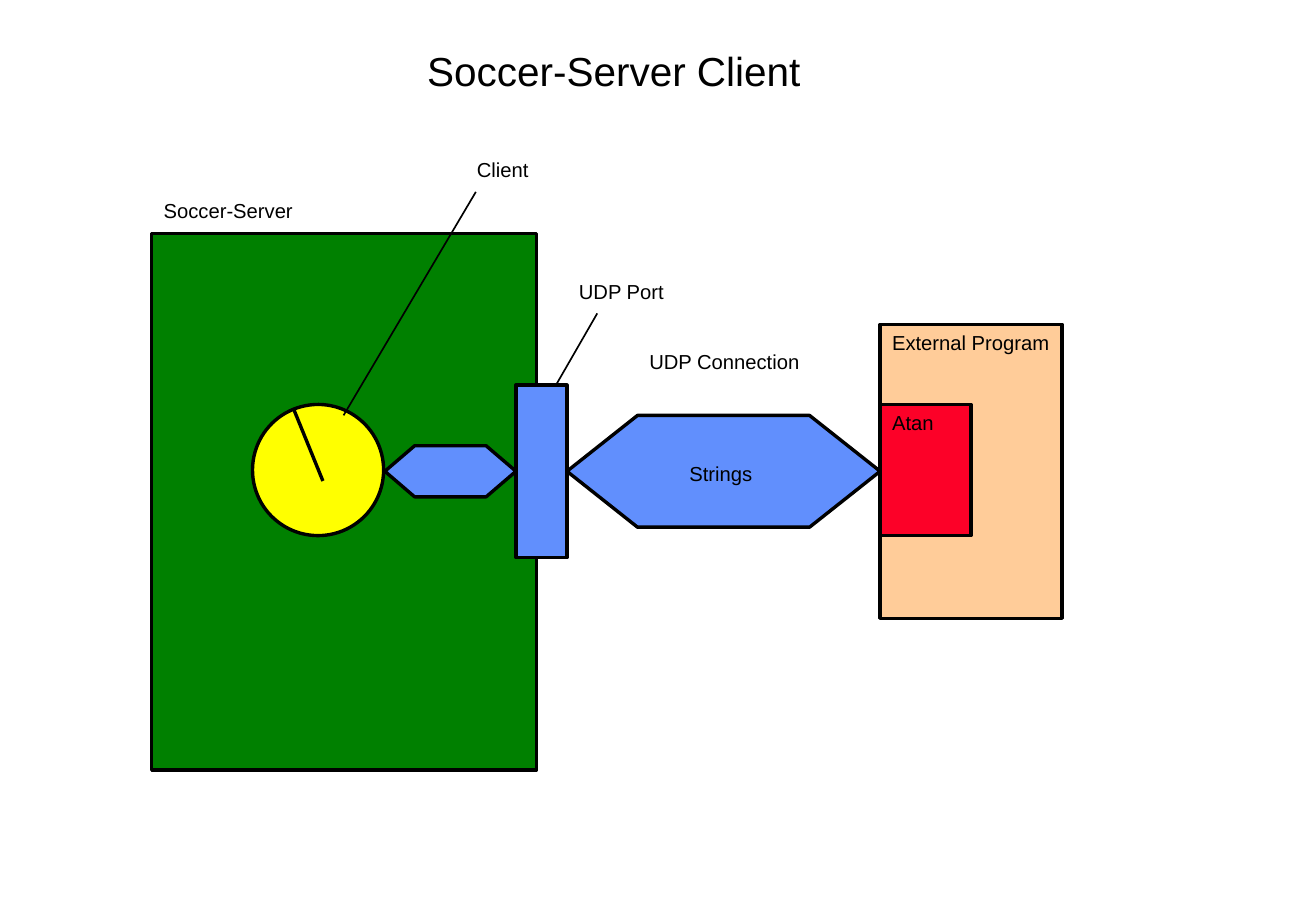
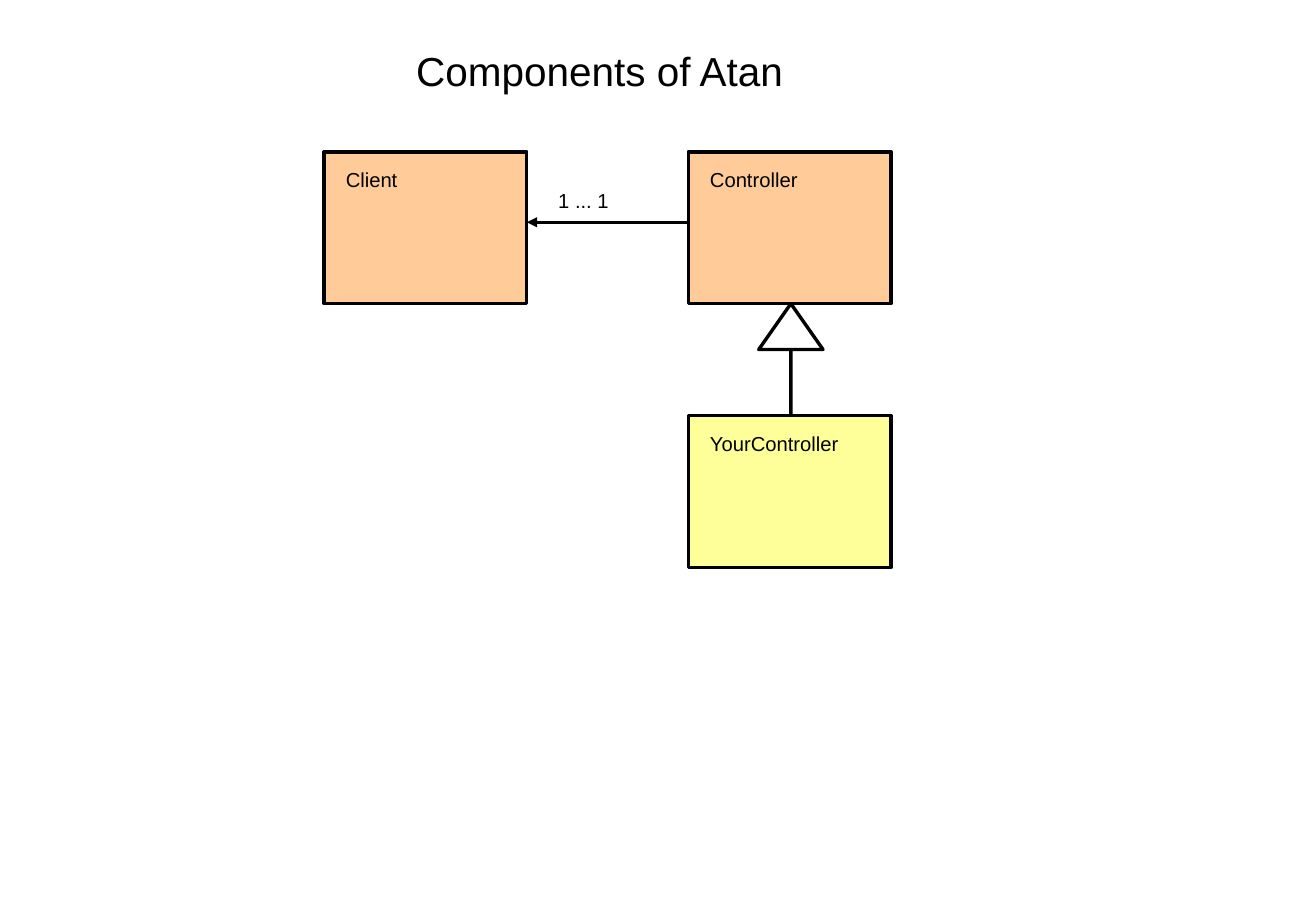
from dataclasses import dataclass

from lxml.etree import SubElement
from pptx import Presentation
from pptx.dml.color import RGBColor
from pptx.enum.shapes import MSO_CONNECTOR, MSO_SHAPE
from pptx.enum.text import MSO_AUTO_SIZE
from pptx.oxml.ns import qn
from pptx.slide import Slide
from pptx.util import Inches, Pt

COLORS = {
    "ink": "000000",
    "field": "008000",
    "player": "FFFF00",
    "port": "618FFD",
    "program": "FFCC99",
    "library": "FC0128",
    "custom": "FFFF99",
}
FONT = "Arial"
TITLE_SIZE, LABEL_SIZE = 24, 12
BOX_W, BOX_H = 1.67, 1.25  # class boxes
BOX_INSET = 0.08           # class name inside its box


@dataclass(frozen=True)
class Block:
    kind: MSO_SHAPE
    x: float
    y: float
    w: float
    h: float
    fill: str | None = None
    adjustments: tuple[float, ...] = ()
    rotation: float = 0


@dataclass(frozen=True)
class Line:
    x1: float
    y1: float
    x2: float
    y2: float
    width: float = 2
    arrow: bool = False


@dataclass(frozen=True)
class Label:
    text: str
    x: float
    y: float
    w: float = 1.83


@dataclass(frozen=True)
class ClassBox:
    name: str
    x: float
    y: float
    fill: str


def rgb(name: str) -> RGBColor:
    return RGBColor.from_string(COLORS[name])


def add_block(s: Slide, block: Block) -> None:
    sp = s.shapes.add_shape(block.kind, *map(Inches, (block.x, block.y, block.w, block.h)))
    sp.shadow.inherit = False
    sp.rotation = block.rotation
    for i, value in enumerate(block.adjustments):
        sp.adjustments[i] = value
    if block.fill:
        sp.fill.solid()
        sp.fill.fore_color.rgb = rgb(block.fill)
    else:
        sp.fill.background()
    sp.line.color.rgb = rgb("ink")
    sp.line.width = Pt(2)


def add_line(s: Slide, line: Line) -> None:
    ends = map(Inches, (line.x1, line.y1, line.x2, line.y2))
    cxn = s.shapes.add_connector(MSO_CONNECTOR.STRAIGHT, *ends)
    cxn.line.color.rgb = rgb("ink")
    cxn.line.width = Pt(line.width)
    if line.arrow:
        SubElement(cxn.line._get_or_add_ln(), qn("a:tailEnd"), type="triangle")
    SubElement(cxn._element.spPr, qn("a:effectLst"))


def add_label(s: Slide, label: Label, size: float = LABEL_SIZE) -> None:
    # Box height and space before both follow the text size
    height = 0.5 if size == TITLE_SIZE else 0.3
    tf = s.shapes.add_textbox(*map(Inches, (label.x, label.y, label.w, height))).text_frame
    tf.word_wrap = True
    tf.auto_size = MSO_AUTO_SIZE.SHAPE_TO_FIT_TEXT
    p = tf.paragraphs[0]
    p.space_before = Pt(size * 0.625)
    r = p.add_run()
    r.text = label.text
    for name, value in {"name": FONT, "size": Pt(size)}.items():
        setattr(r.font, name, value)
    r.font.color.rgb = rgb("ink")


def add_class_box(s: Slide, box: ClassBox) -> None:
    add_block(s, Block(MSO_SHAPE.RECTANGLE, box.x, box.y, BOX_W, BOX_H, box.fill))
    add_label(s, Label(box.name, box.x + BOX_INSET, box.y + BOX_INSET))


def add_slide(prs: Presentation, title: Label) -> Slide:
    s = prs.slides.add_slide(prs.slide_layouts[6])
    add_label(s, title, TITLE_SIZE)
    return s


def build_client_slide(prs: Presentation) -> None:
    s = add_slide(prs, Label("Soccer-Server Client", 3.42, 0.33, 4.98))
    rect, arrow = MSO_SHAPE.RECTANGLE, MSO_SHAPE.LEFT_RIGHT_ARROW

    # Server, client, port and external program
    for block in (
        Block(rect, 1.25, 1.92, 3.17, 4.42, "field"),
        Block(MSO_SHAPE.OVAL, 2.08, 3.33, 1.08, 1.08, "player", rotation=337.9),
        Block(arrow, 3.17, 3.67, 1.08, 0.42, "port", (1, 0.583)),
        Block(arrow, 4.67, 3.42, 2.58, 0.92, "port", (1, 0.632)),
        Block(rect, 7.25, 2.67, 1.5, 2.42, "program"),
        Block(rect, 4.25, 3.17, 0.42, 1.42, "port"),
        Block(rect, 7.25, 3.33, 0.75, 1.08, "library"),
    ):
        add_block(s, block)

    # Client direction, then the pointers to port and client
    for line in (
        Line(2.42, 3.37, 2.66, 3.96),
        Line(4.58, 3.17, 4.92, 2.58, width=1),
        Line(3.92, 1.58, 2.83, 3.42, width=1),
    ):
        add_line(s, line)

    for label in (
        Label("Soccer-Server", 1.25, 1.58, 2),
        Label("Client", 3.83, 1.25, 0.67),
        Label("UDP Port", 4.67, 2.25),
        Label("UDP Connection", 5.25, 2.83),
        Label("Strings", 5.58, 3.75, 0.92),
        Label("External Program", 7.25, 2.67, 2),
        Label("Atan", 7.25, 3.33, 0.67),
    ):
        add_label(s, label)


def build_components_slide(prs: Presentation) -> None:
    s = add_slide(prs, Label("Components of Atan", 3.33, 0.33, 3.58))
    client = ClassBox("Client", 2.67, 1.25, "program")
    controller = ClassBox("Controller", 5.67, 1.25, "program")
    custom = ClassBox("YourController", 5.67, 3.42, "custom")
    for box in (client, controller, custom):
        add_class_box(s, box)

    # Association from controller to client
    add_line(s, Line(controller.x, 1.83, client.x + BOX_W, 1.83, arrow=True))
    add_label(s, Label("1 ... 1", 4.5, 1.5))

    # Inheritance from the custom controller
    bottom = controller.y + BOX_H
    add_block(s, Block(MSO_SHAPE.UP_ARROW, 6.25, bottom, 0.53, custom.y - bottom,
                       adjustments=(0, 0.713)))


def main() -> None:
    prs = Presentation()
    prs.slide_width, prs.slide_height = Inches(10.84), Inches(7.5)
    build_client_slide(prs)
    build_components_slide(prs)
    prs.save("out.pptx")


if __name__ == "__main__":
    main()
